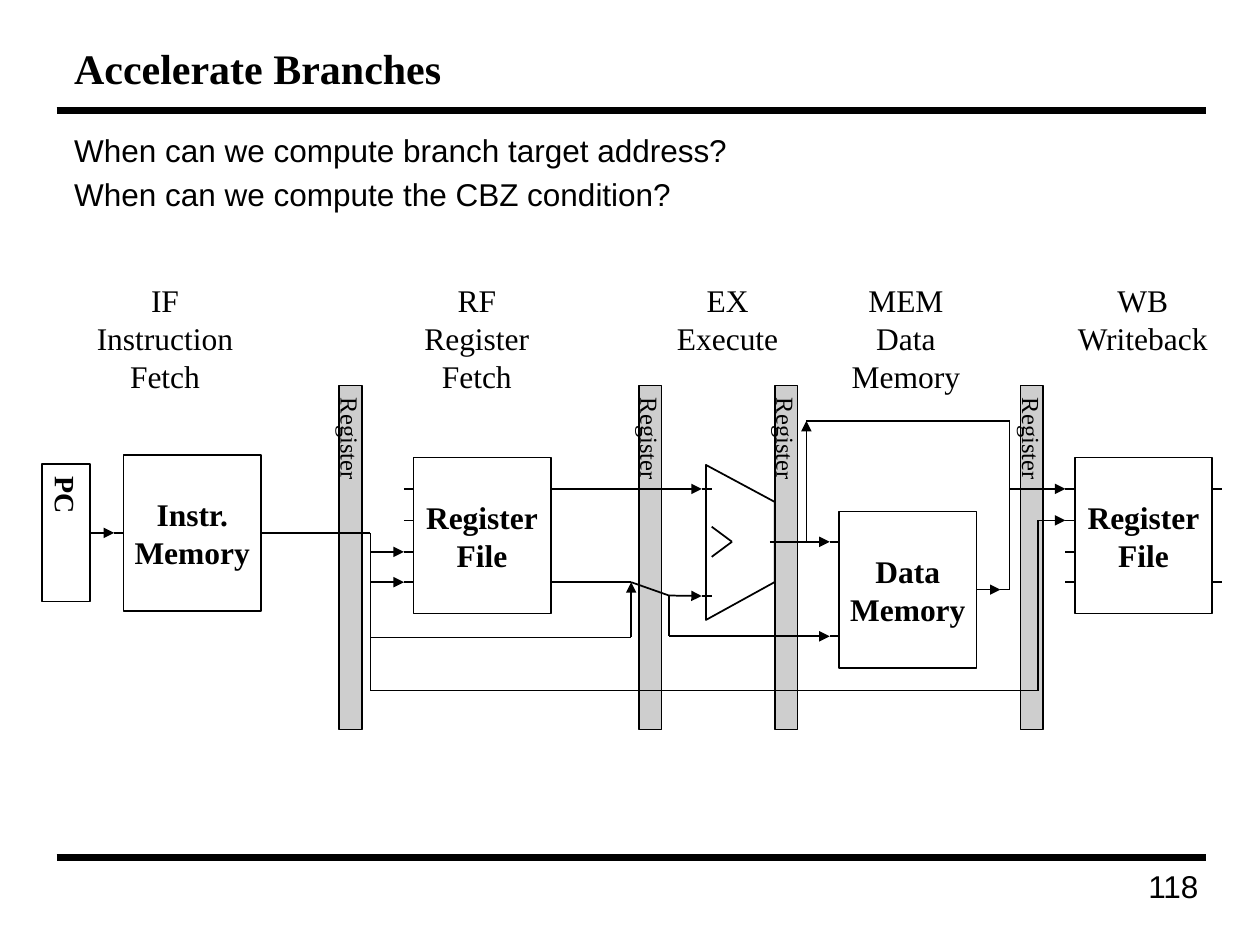
from lxml.etree import SubElement
from pptx import Presentation
from pptx.dml.color import RGBColor
from pptx.enum.shapes import MSO_CONNECTOR as Connector, MSO_SHAPE as Preset
from pptx.enum.text import MSO_ANCHOR as Anchor, MSO_AUTO_SIZE as AutoSize, PP_ALIGN as Align
from pptx.oxml.ns import qn
from pptx.util import Pt

SERIF = "Times New Roman"
BLACK, WHITE, GRAY = "000000", "FFFFFF", "CECECE"
PIN = 5.4
BLOCK_WIDTH, BLOCK_HEIGHT = 78.5, 89.3
MIDDLE = BLOCK_HEIGHT / 2


def color(value):
    """Turn a hex string into a colour."""
    return RGBColor.from_string(value)


def write(shape, text, size=18, font=SERIF, bold=False, align=Align.LEFT, anchor=Anchor.TOP,
          wrap=True, vertical=False, before=0, hanging=0):
    """Fill a shape with one formatted paragraph for each line of text."""
    frame = shape.text_frame
    frame.word_wrap = wrap
    frame.vertical_anchor = anchor
    if vertical:
        shape.element.txBody.bodyPr.set("vert", "eaVert")
    for index, line in enumerate(text.split("\n")):
        paragraph = frame.paragraphs[0] if index == 0 else frame.add_paragraph()
        paragraph.text = line
        paragraph.alignment = align
        if hanging:
            properties = paragraph._p.get_or_add_pPr()
            properties.set("marL", str(Pt(hanging)))
            properties.set("indent", str(-Pt(hanging)))
        if index and before:
            paragraph.space_before = Pt(before)
        paragraph.font.size = Pt(size)
        paragraph.font.name = font
        paragraph.font.bold = bold
        paragraph.font.color.rgb = color(BLACK)


def add_text(slide, box, text, **text_format):
    """Add a text box and return it."""
    shape = slide.shapes.add_textbox(*map(Pt, box))
    write(shape, text, **text_format)
    return shape


def paint(shape, fill):
    """Give a shape a flat fill and a thin black outline."""
    shape.shadow.inherit = False
    shape.fill.solid()
    shape.fill.fore_color.rgb = color(fill)
    shape.line.color.rgb = color(BLACK)
    shape.line.width = Pt(1)


def add_box(slide, box, text, fill=WHITE, **text_format):
    """Add an outlined rectangle with centred text and return it."""
    shape = slide.shapes.add_shape(Preset.RECTANGLE, *map(Pt, box))
    paint(shape, fill)
    write(shape, text, align=Align.CENTER, anchor=Anchor.MIDDLE, wrap=False, **text_format)
    return shape


def add_line(slide, start, end, width=1, arrow=False):
    """Add a straight black connector and return it."""
    line = slide.shapes.add_connector(Connector.STRAIGHT, *map(Pt, (*start, *end)))
    line.line.color.rgb = color(BLACK)
    line.line.width = Pt(width)
    if arrow:
        SubElement(line.line._get_or_add_ln(), qn("a:tailEnd"), type="triangle")
    SubElement(line.element.spPr, qn("a:effectLst"))
    return line


def add_block(slide, left, top, text, left_pins=(), right_pins=()):
    """Add a hardware block with pins at the given heights on its sides."""
    block = add_box(slide, (left, top, BLOCK_WIDTH, BLOCK_HEIGHT), text, bold=True)
    right = left + BLOCK_WIDTH
    for pin in left_pins:
        line = add_line(slide, (left - PIN, top + pin), (left, top + pin))
        if pin == MIDDLE:
            line.end_connect(block, 1)
    for pin in right_pins:
        line = add_line(slide, (right, top + pin), (right + PIN, top + pin))
        if pin == MIDDLE:
            line.begin_connect(block, 3)


def add_alu(slide, left, top):
    """Add the execute unit with its chevron and pins."""
    outline = [(0, 0), (39.4, 21.2), (39.4, 66.9), (0, 88.6)]
    points = [(Pt(left + x), Pt(top + y)) for x, y in outline]
    builder = slide.shapes.build_freeform(*points[0], scale=1.0)
    builder.add_line_segments(points[1:], close=True)
    paint(builder.convert_to_shape(), WHITE)
    for start, end in [((3.3, 35.3), (14.9, 43.9)), ((3.3, 52.5), (14.9, 43.9)),
                       ((-2.4, 13.7), (3.3, 13.7)), ((-2.4, 74.9), (3.3, 74.9)),
                       ((36.6, 43.9), (41.8, 43.9))]:
        add_line(slide, (left + start[0], top + start[1]), (left + end[0], top + end[1]))


def add_wire(slide, left, top, points, arrow=True):
    """Add a chain of connectors through points, with an arrowhead at the end."""
    points = [(left + x, top + y) for x, y in points]
    for index, (start, end) in enumerate(zip(points, points[1:]), start=2):
        add_line(slide, start, end, arrow=arrow and index == len(points))


def add_pipeline(slide, left, top):
    """Draw the five-stage datapath from its top left corner."""
    for x in (169.7, 341, 418.8, 559.2):
        add_box(slide, (left + x, top, 13, 196.6), "Register", GRAY, size=14, vertical=True)
    add_alu(slide, left + 379.4, top + 45.4)
    counter = add_box(slide, (left, top + 45, 27.4, 78.5), "PC", size=16, bold=True, vertical=True)
    add_block(slide, left + 46.6, top + 39.6, "Instr.\nMemory", [MIDDLE], [MIDDLE])
    add_block(slide, left + 455.5, top + 72, "Data\nMemory", [17.3, 71.3], [MIDDLE])
    for x in (212.2, 590.2):
        add_block(slide, left + x, top + 41.1, "Register\nFile", [18, 36, 54, 71.3], [18, 71.3])

    fetch = top + 84.25
    fetch_line = add_line(slide, (left + 27.4, fetch), (left + 46.6 - PIN, fetch), arrow=True)
    fetch_line.begin_connect(counter, 3)

    trunk = 187.7
    for points in [
        [(trunk, 95.1), (206.8, 95.1)],
        [(trunk, 112.4), (206.8, 112.4)],
        [(trunk, 144), (336.7, 144), (336.7, 112.4)],
        [(130.5, 84.25), (trunk, 84.25), (trunk, 174.3), (569.3, 174.3), (569.3, 77.1),
         (584.8, 77.1)],
        [(296.1, 59.1), (377, 59.1)],
        [(296.1, 112.4), (336.7, 112.4), (358.3, 120), (377, 120.3)],
        [(358.3, 120), (358.3, 143.3), (450.1, 143.3)],
        [(421.2, 89.3), (450.1, 89.3)],
        [(436.8, 89.3), (436.8, 20.2)],
        [(539.4, 116.65), (547.7, 116.65)],
        [(436.8, 20.2), (552.9, 20.2), (552.9, 59.1), (584.8, 59.1)],
    ]:
        add_wire(slide, left, top, points)
    add_wire(slide, left, top, [(547.7, 116.65), (552.9, 116.65), (552.9, 59.1)], arrow=False)


def add_stage_labels(slide, top):
    """Name the pipeline stages, each centred over its part."""
    for center, width, text in [(94.3, 96, "IF\nInstruction\nFetch"),
                                (272.5, 78, "RF\nRegister\nFetch"),
                                (415.8, 76, "EX\nExecute"),
                                (517.7, 80, "MEM\nData\nMemory"),
                                (653, 92, "WB\nWriteback")]:
        height = 7.2 + 21.6 * len(text.split("\n"))
        label = add_text(slide, (center - width / 2, top, width, height), text,
                         align=Align.CENTER, wrap=False)
        label.text_frame.auto_size = AutoSize.SHAPE_TO_FIT_TEXT


def add_page_frame(slide, left, right, title, number):
    """Add the heading, the two heavy rules and the page number."""
    for y in (63.2, 490.3):
        add_line(slide, (left, y), (right, y), width=4)
    add_text(slide, (left + 2.9, 17.5, 651, 42), title, size=24, bold=True, anchor=Anchor.MIDDLE)
    add_text(slide, (right - 144.7, 491.7, 147.6, 35), number, font="Arial", align=Align.RIGHT)


def main():
    """Build the slide and save it."""
    presentation = Presentation()
    presentation.slide_width, presentation.slide_height = Pt(720), Pt(540)
    slide = presentation.slides.add_slide(presentation.slide_layouts[6])
    add_page_frame(slide, 32.4, 689, "Accelerate Branches", "118")
    add_text(slide, (35.3, 71.3, 651, 414.7),
             "When can we compute branch target address?\nWhen can we compute the CBZ condition?",
             font="Arial", before=3.6, hanging=27)
    add_stage_labels(slide, 157)
    add_pipeline(slide, 24, 220.3)
    presentation.save("out.pptx")


if __name__ == "__main__":
    main()
